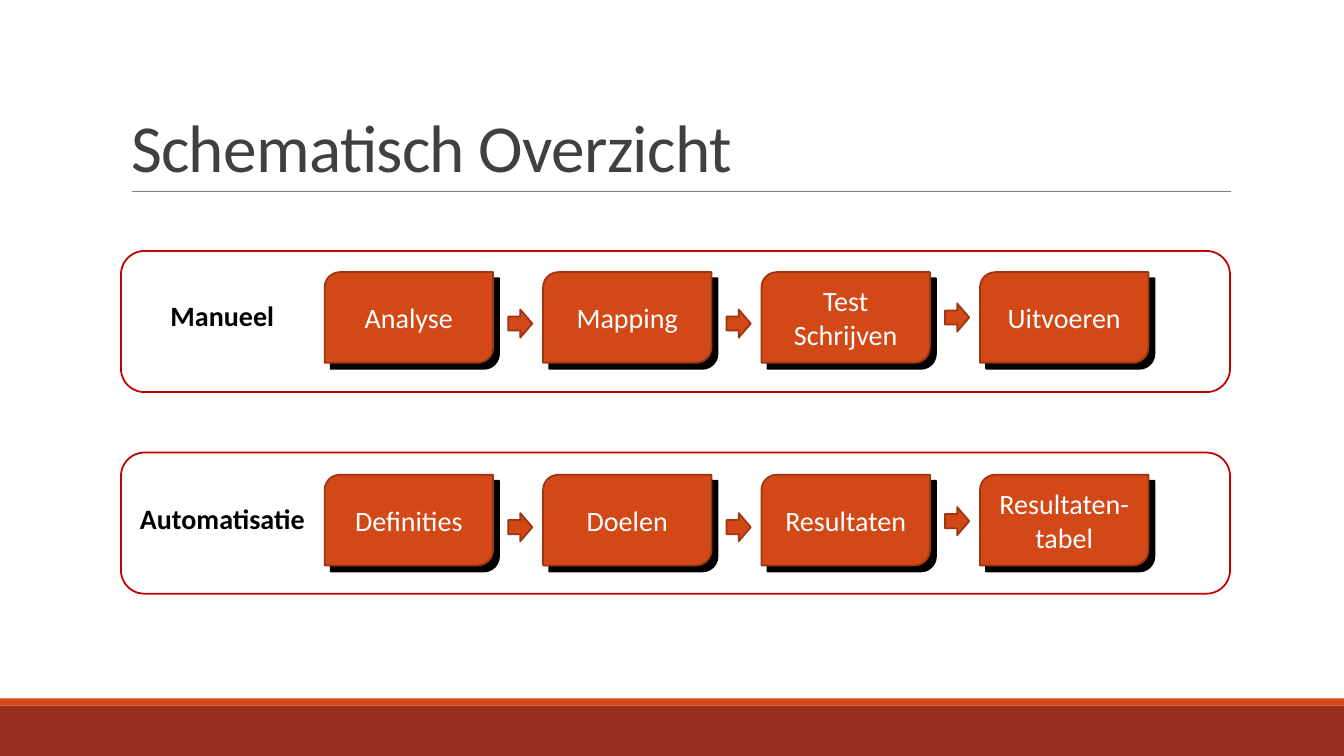
from lxml.etree import SubElement
from pptx import Presentation
from pptx.dml.color import RGBColor
from pptx.enum.shapes import MSO_CONNECTOR, MSO_SHAPE
from pptx.enum.text import MSO_ANCHOR, MSO_AUTO_SIZE, PP_ALIGN
from pptx.oxml.ns import qn
from pptx.util import Inches, Pt

ORANGE, DARK_ORANGE, BROWN, RED = "D34817", "9C3511", "9B2D1F", "C00000"
BLACK, WHITE, GREY, LINE_GREY = "000000", "FFFFFF", "404040", "808080"

# Label, steps, top of panel, top of cards, top of arrows
ROWS = [
    ("Manueel", ["Analyse", "Mapping", "Test\nSchrijven", "Uitvoeren"], 2.49, 2.7, 3.07),
    ("Automatisatie", ["Definities", "Doelen", "Resultaten", "Resultaten-tabel"], 4.49, 4.71, 5.09),
]
CARD_LEFT, CARD_PITCH, CARD_W, CARD_H = 3.22, 6.5 / 3, 1.67, 0.9
ARROW_LEFT, SHADOW_SHIFT, LAST_ARROW_LIFT = 5.04, 0.06, 0.06


def color(hex_value):
    return RGBColor.from_string(hex_value)


def place(sp, *box):
    for name, value in zip(("left", "top", "width", "height"), box):
        setattr(sp, name, Inches(value))


def write(sp, text, size, hex_value, para, frame, bold=False):
    """Fill a text frame, one paragraph per line of text."""
    tf = sp.text_frame
    tf.text = text
    frame = {"word_wrap": True, "auto_size": MSO_AUTO_SIZE.NONE, **frame}
    for name, value in frame.items():
        setattr(tf, name, value)
    for p in tf.paragraphs:
        for name, value in para.items():
            setattr(p, name, value)
        for r in p.runs:
            font = {"name": "Calibri", "size": Pt(size), "bold": bold}
            for name, value in font.items():
                setattr(r.font, name, value)
            r.font.color.rgb = color(hex_value)


def add_block(s, kind, box, fill, line=None):
    sp = s.shapes.add_shape(kind, *map(Inches, box))
    sp.shadow.inherit = False
    sp.fill.solid()
    sp.fill.fore_color.rgb = color(fill)
    if line:
        sp.line.color.rgb = color(line)
        sp.line.width = Pt(1.25)
    else:
        sp.line.fill.background()
    return sp


def add_title(s, text):
    title = s.shapes.title
    place(title, 1.2, 0.31, 11, 1.59)
    write(title, text, 48, GREY,
          {"alignment": PP_ALIGN.LEFT, "line_spacing": 0.85},
          {"vertical_anchor": MSO_ANCHOR.BOTTOM})
    title.text_frame.paragraphs[0].runs[0].font._element.set("spc", "-50")


def add_rule(s):
    rule = s.shapes.add_connector(
        MSO_CONNECTOR.STRAIGHT, Inches(1.31), Inches(1.9), Inches(12.21), Inches(1.9))
    rule.line.color.rgb = color(LINE_GREY)
    rule.line.width = Pt(0.5)
    SubElement(rule.element.spPr, qn("a:effectLst"))


def format_label(sp, text, top):
    place(sp, 1.2, top, 1.91, CARD_H)
    write(sp, text, 20, BLACK,
          {"alignment": PP_ALIGN.CENTER, "line_spacing": 0.9,
           "space_before": Pt(12), "space_after": Pt(2)},
          {"vertical_anchor": MSO_ANCHOR.MIDDLE, "margin_left": 0, "margin_right": 0,
           "margin_top": Inches(0.05), "margin_bottom": Inches(0.05)}, bold=True)
    pPr = sp.text_frame.paragraphs[0]._p.get_or_add_pPr()
    pPr.set("marL", str(Inches(0.1)))
    pPr.set("indent", "0")
    SubElement(pPr, qn("a:buNone"))


def add_card(s, text, left, top):
    kind = MSO_SHAPE.ROUND_2_DIAG_RECTANGLE
    add_block(s, kind, (left + SHADOW_SHIFT, top + SHADOW_SHIFT, CARD_W, CARD_H), BLACK, BLACK)
    card = add_block(s, kind, (left, top, CARD_W, CARD_H), ORANGE, DARK_ORANGE)
    write(card, text, 20, WHITE, {"alignment": PP_ALIGN.CENTER},
          {"vertical_anchor": MSO_ANCHOR.MIDDLE})


def add_steps(s, steps, card_top, arrow_top):
    for i, step in enumerate(steps):
        add_card(s, step, CARD_LEFT + i * CARD_PITCH, card_top)
    last = len(steps) - 2
    for i in range(last + 1):
        top = arrow_top - (LAST_ARROW_LIFT if i == last else 0)
        add_block(s, MSO_SHAPE.RIGHT_ARROW,
                  (ARROW_LEFT + i * CARD_PITCH, top, 0.24, 0.28), ORANGE, DARK_ORANGE)


def main():
    prs = Presentation()
    prs.slide_width, prs.slide_height = Inches(13.33), Inches(7.5)
    s = prs.slides.add_slide(prs.slide_layouts[1])

    # Footer bands, title and rule
    add_block(s, MSO_SHAPE.RECTANGLE, (0, 7, 13.33, 0.5), BROWN)
    add_block(s, MSO_SHAPE.RECTANGLE, (0, 6.93, 13.33, 0.07), ORANGE)
    add_title(s, "Schematisch Overzicht")
    add_rule(s)

    # One panel per process; the first label is the body placeholder
    body = s.placeholders[1]
    for i, (label, steps, panel_top, card_top, arrow_top) in enumerate(ROWS):
        add_block(s, MSO_SHAPE.ROUNDED_RECTANGLE, (1.2, panel_top, 11, 1.4), WHITE, RED)
        sp = s.shapes.add_textbox(0, 0, 0, 0) if i else body
        sp.element.getparent().append(sp.element)  # in front of the panel
        format_label(sp, label, card_top)
        add_steps(s, steps, card_top, arrow_top)

    prs.save("out.pptx")


if __name__ == "__main__":
    main()
